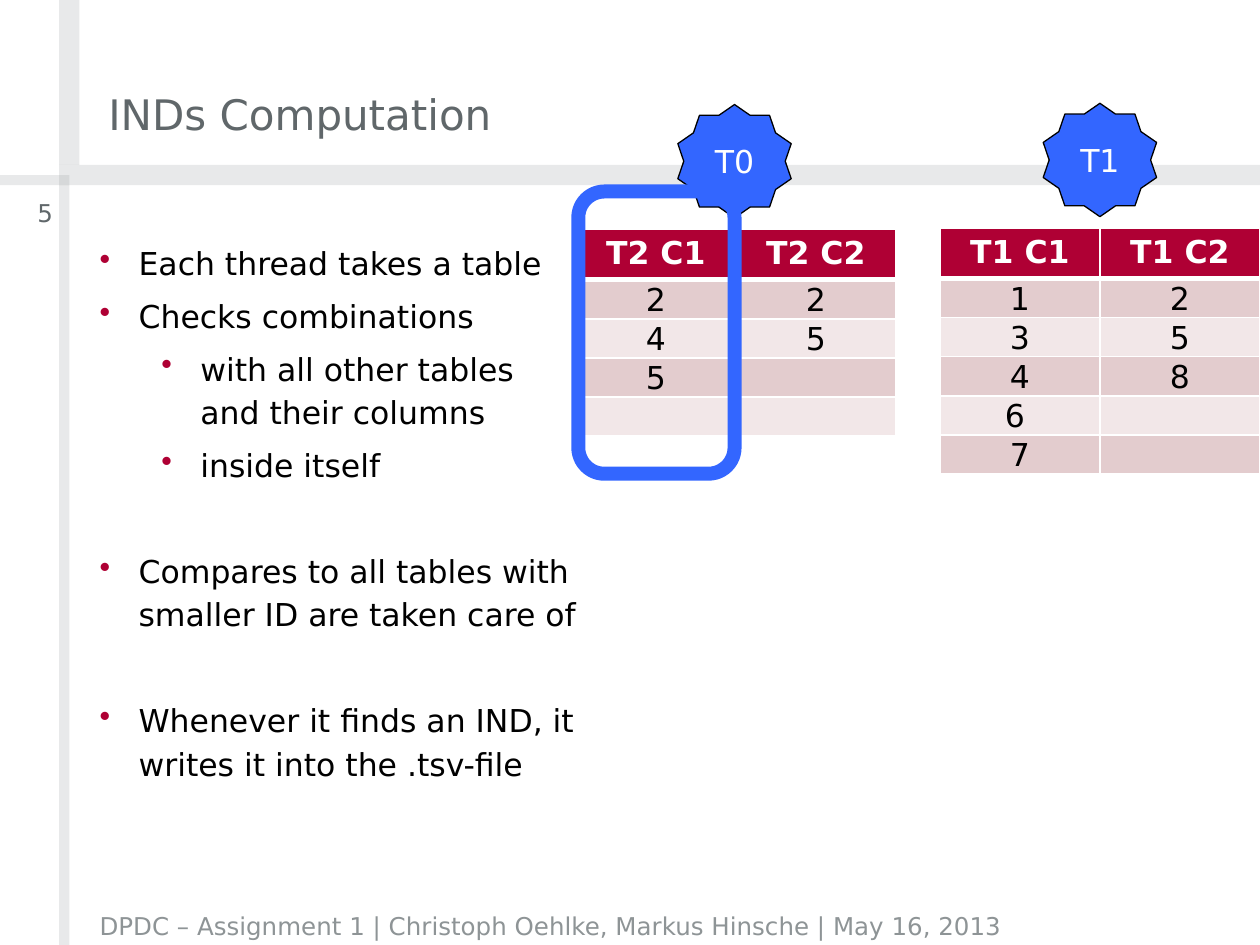
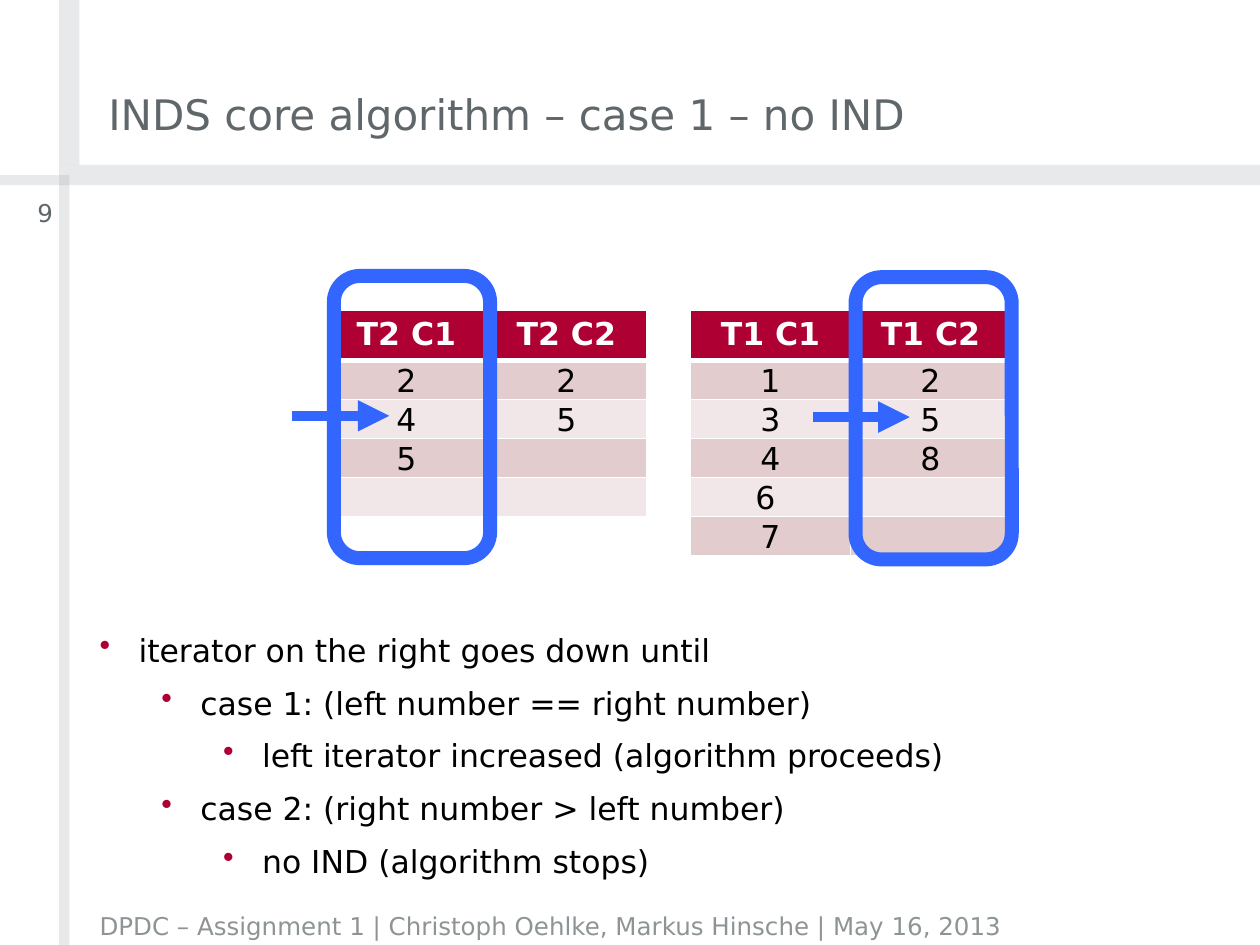
"""Build two slides that explain how inclusion dependencies are computed."""
import dataclasses

import lxml.etree
import pptx
import pptx.dml.color
import pptx.enum.shapes
import pptx.enum.text
import pptx.oxml.ns
import pptx.util

Inches = pptx.util.Inches
Pt = pptx.util.Pt
qn = pptx.oxml.ns.qn
SHAPE = pptx.enum.shapes.MSO_SHAPE
ALIGN = pptx.enum.text.PP_ALIGN
ANCHOR = pptx.enum.text.MSO_ANCHOR


@dataclasses.dataclass(frozen=True)
class Theme:
    """Colours, font and type sizes of the deck."""
    font: str = "DejaVu Sans"
    title_size: int = 24
    body_size: int = 18
    small_size: int = 14
    title: str = "60676A"
    grey: str = "8E9496"
    text: str = "000000"
    white: str = "FFFFFF"
    red: str = "AF0034"
    blue: str = "3366FF"
    bands: tuple = ("E3CCCE", "F2E7E8")


THEME = Theme()
FOOTER = "DPDC – Assignment 1 | Christoph Oehlke, Markus Hinsche | May 16, 2013"
BARS = [(0.47, 0, 0.16, 1.31), (0.47, 1.31, 9.53, 0.16),
        (0.47, 1.47, 0.08, 6.03), (0, 1.39, 0.55, 0.08)]
COLUMN_WIDTH = 1.27
HEADER_HEIGHT = 0.39
ROW_HEIGHT = 0.3
FRAME_SIZE = (1.24, 2.24)
STAR_SIZE = 0.9
BULLET_HANG = 0.31
LEVEL_STEP = 0.49
PARAGRAPH_GAP = 5.4
SECTION_GAP = 35.7

TABLE_ONE = [("T1 C1", "T1 C2"), ("1", "2"), ("3", "5"), ("4", "8"),
             ("6 ", ""), ("7", "")]
TABLE_TWO = [("T2 C1", "T2 C2"), ("2", "2"), ("4", "5"), ("5", ""), ("", "")]


def rgb(code):
    """Turn a hex code into a colour."""
    return pptx.dml.color.RGBColor.from_string(code)


def add_xml(parent, tag, **attributes):
    """Append a drawing element to its parent."""
    return lxml.etree.SubElement(parent, qn(tag), attributes)


def write(para, text, size=THEME.body_size, color=THEME.text, bold=False,
          align=ALIGN.LEFT):
    """Write one formatted span into a paragraph."""
    para.alignment = align
    span = para.add_run()
    span.text = text
    span.font.name = THEME.font
    span.font.size = Pt(size)
    span.font.bold = bold
    span.font.color.rgb = rgb(color)


def set_margins(target, left, top, right, bottom):
    """Set the inner margins of a text frame or a cell."""
    target.margin_left, target.margin_top = Inches(left), Inches(top)
    target.margin_right, target.margin_bottom = Inches(right), Inches(bottom)


def add_box(page, area, anchor=ANCHOR.TOP):
    """Add a wrapping text box without margins and return its frame."""
    frame = page.shapes.add_textbox(*map(Inches, area)).text_frame
    frame.word_wrap = True
    frame.vertical_anchor = anchor
    set_margins(frame, 0, 0, 0, 0)
    return frame


def add_label(page, area, text, anchor=ANCHOR.TOP, **style):
    """Add a text box with one paragraph."""
    write(add_box(page, area, anchor).paragraphs[0], text, **style)


def add_shape(page, kind, area, fill=None, line=None, line_width=1):
    """Add a preset shape without shadow."""
    shape = page.shapes.add_shape(kind, *map(Inches, area))
    shape.shadow.inherit = False
    if fill:
        shape.fill.solid()
        shape.fill.fore_color.rgb = rgb(fill)
    else:
        shape.fill.background()
    if line:
        shape.line.color.rgb = rgb(line)
        shape.line.width = Pt(line_width)
    else:
        shape.line.fill.background()
    return shape


def add_bar(page, area):
    """Add a translucent grey bar."""
    bar = add_shape(page, SHAPE.RECTANGLE, area, fill=THEME.grey)
    color = bar.fill._xPr.find(qn("a:solidFill")).find(qn("a:srgbClr"))
    add_xml(color, "a:alpha", val="20000")


def add_page(deck, title, number):
    """Add a slide with its bars, title, number and footer."""
    page = deck.slides.add_slide(deck.slide_layouts[6])
    for area in BARS:
        add_bar(page, area)
    add_label(page, (0.86, 0, 6.83, 1.1), title, ANCHOR.BOTTOM,
              size=THEME.title_size, color=THEME.title)
    add_label(page, (0.79, 7.18, 8.94, 0.28), FOOTER, ANCHOR.BOTTOM,
              size=THEME.small_size, color=THEME.grey)
    add_label(page, (0, 1.57, 0.42, 0.36), str(number),
              size=THEME.small_size, color=THEME.title, align=ALIGN.RIGHT)
    return page


def add_bullets(page, area, items):
    """Add bullets given as level, text and space before."""
    frame = add_box(page, area)
    for index, (level, text, gap) in enumerate(items):
        para = frame.add_paragraph() if index else frame.paragraphs[0]
        para.level = level
        para.line_spacing = 1.15
        para.space_before = Pt(gap)
        write(para, text)
        settings = para._p.get_or_add_pPr()
        settings.set("marL", str(Inches(BULLET_HANG + level * LEVEL_STEP)))
        settings.set("indent", str(-Inches(BULLET_HANG)))
        color = add_xml(settings, "a:buClr")
        add_xml(color, "a:srgbClr", val=THEME.red)
        add_xml(settings, "a:buChar", char="•")


def set_borders(cell, row_index):
    """Draw white borders, thicker below the header row."""
    widths = {"L": 1, "R": 1, "T": 3 if row_index == 1 else 1,
              "B": 3 if row_index == 0 else 1}
    settings = cell._tc.get_or_add_tcPr()
    for side, width in widths.items():
        border = add_xml(settings, f"a:ln{side}", w=str(Pt(width)))
        add_xml(add_xml(border, "a:solidFill"), "a:srgbClr", val=THEME.white)


def fill_cell(cell, text, row_index):
    """Format one cell by its row and write its text."""
    header = row_index == 0
    set_borders(cell, row_index)
    cell.fill.solid()
    cell.fill.fore_color.rgb = rgb(
        THEME.red if header else THEME.bands[(row_index - 1) % 2])
    if not header:
        cell.vertical_anchor = ANCHOR.BOTTOM
        set_margins(cell, 0.01, 0.01, 0.01, 0)
    para = cell.text_frame.paragraphs[0]
    if text:
        write(para, text, bold=header, align=ALIGN.CENTER,
              color=THEME.white if header else THEME.text)
    else:
        para.font.size = Pt(THEME.body_size)


def add_data_table(page, left, top, rows):
    """Add a table with a header row and banded rows."""
    heights = [HEADER_HEIGHT] + [ROW_HEIGHT] * (len(rows) - 1)
    count = len(rows[0])
    table = page.shapes.add_table(
        len(rows), count, Inches(left), Inches(top),
        Inches(count * COLUMN_WIDTH), Inches(sum(heights))).table
    for column in table.columns:
        column.width = Inches(COLUMN_WIDTH)
    for row_index, (height, texts) in enumerate(zip(heights, rows)):
        table.rows[row_index].height = Inches(height)
        for column_index, text in enumerate(texts):
            fill_cell(table.cell(row_index, column_index), text, row_index)


def add_star(page, left, top, text):
    """Add a star that names a thread."""
    star = add_shape(page, SHAPE.STAR_10_POINT, (left, top, STAR_SIZE, STAR_SIZE),
                     fill=THEME.blue, line=THEME.text, line_width=0.75)
    frame = star.text_frame
    set_margins(frame, 0, 0, 0, 0)
    frame.vertical_anchor = ANCHOR.MIDDLE
    write(frame.paragraphs[0], text, color=THEME.white, align=ALIGN.CENTER)


def add_column_frame(page, left, top):
    """Add a rounded outline around a table column."""
    add_shape(page, SHAPE.ROUNDED_RECTANGLE, (left, top, *FRAME_SIZE),
              line=THEME.blue, line_width=8)


def add_iterator(page, left, top):
    """Add an arrow that points at the current row."""
    arrow = page.shapes.add_connector(
        pptx.enum.shapes.MSO_CONNECTOR.STRAIGHT,
        Inches(left), Inches(top), Inches(left + 0.77), Inches(top))
    arrow.line.color.rgb = rgb(THEME.blue)
    arrow.line.width = Pt(6)
    add_xml(arrow.line._get_or_add_ln(), "a:tailEnd", type="triangle")
    add_xml(arrow._element.spPr, "a:effectLst")


def build_computation(deck):
    """Build the slide on threads and their tables."""
    page = add_page(deck, "INDs Computation", 5)
    add_bullets(page, (0.79, 1.89, 3.79, 5.24), [
        (0, "Each thread takes a table", PARAGRAPH_GAP),
        (0, "Checks combinations", PARAGRAPH_GAP),
        (1, "with all other tables and their columns", PARAGRAPH_GAP),
        (1, "inside itself", PARAGRAPH_GAP),
        (0, "Compares to all tables with smaller ID are taken care of", SECTION_GAP),
        (0, "Whenever it finds an IND, it writes it into the .tsv-file", SECTION_GAP),
    ])
    add_star(page, 8.28, 0.82, "T1")
    add_star(page, 5.38, 0.83, "T0")
    add_data_table(page, 7.46, 1.81, TABLE_ONE)
    add_data_table(page, 4.57, 1.82, TABLE_TWO)
    add_column_frame(page, 4.59, 1.52)


def build_core_algorithm(deck):
    """Build the slide on the case without a dependency."""
    page = add_page(deck, "INDS core algorithm – case 1 – no IND", 9)
    add_data_table(page, 5.48, 2.46, TABLE_ONE)
    add_data_table(page, 2.59, 2.46, TABLE_TWO)
    add_column_frame(page, 2.65, 2.19)
    add_column_frame(page, 6.79, 2.2)
    add_iterator(page, 2.32, 3.3)
    add_iterator(page, 6.45, 3.31)
    add_bullets(page, (0.79, 4.96, 8.94, 2.18), [
        (0, "iterator on the right goes down until", PARAGRAPH_GAP),
        (1, "case 1: (left number == right number)", PARAGRAPH_GAP),
        (2, "left iterator increased (algorithm proceeds)", PARAGRAPH_GAP),
        (1, "case 2: (right number > left number)", PARAGRAPH_GAP),
        (2, "no IND (algorithm stops)", PARAGRAPH_GAP),
    ])


def main():
    """Build and save the deck."""
    deck = pptx.Presentation()
    deck.slide_width, deck.slide_height = Inches(10), Inches(7.5)
    build_computation(deck)
    build_core_algorithm(deck)
    deck.save("out.pptx")


if __name__ == "__main__":
    main()
